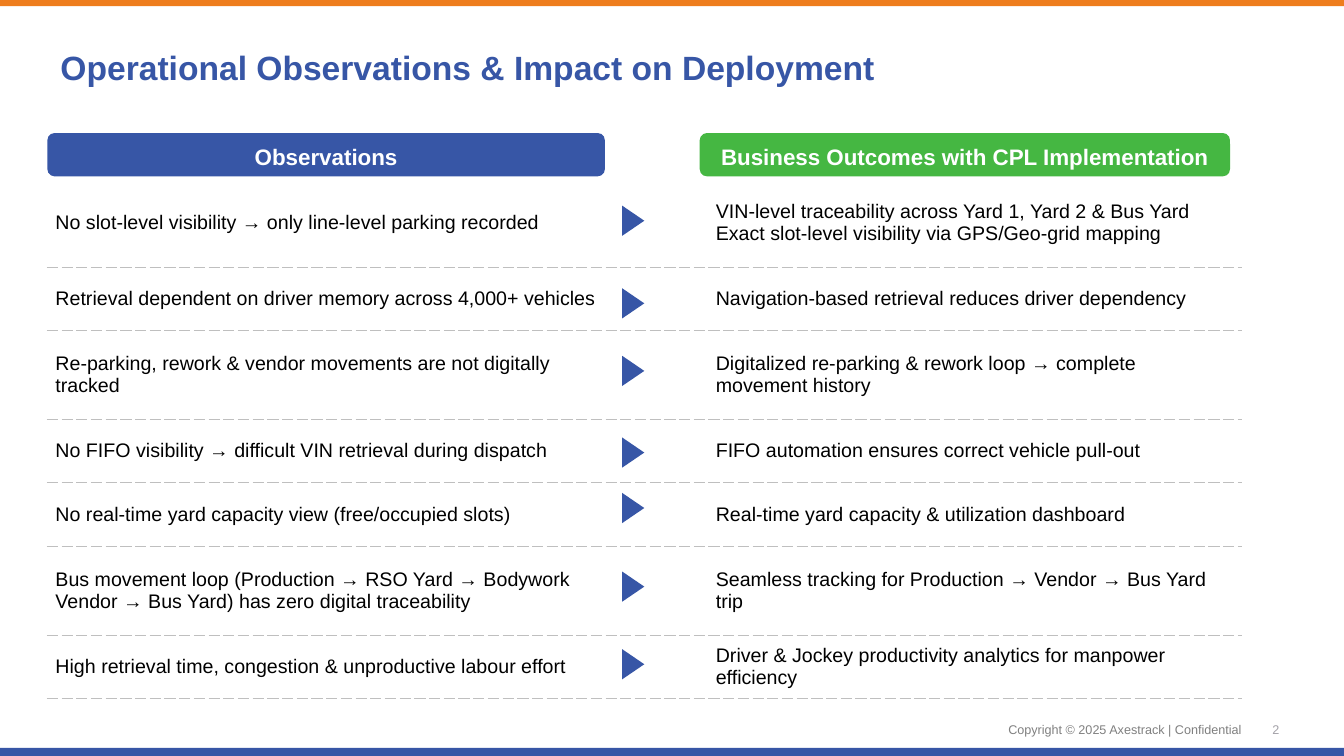
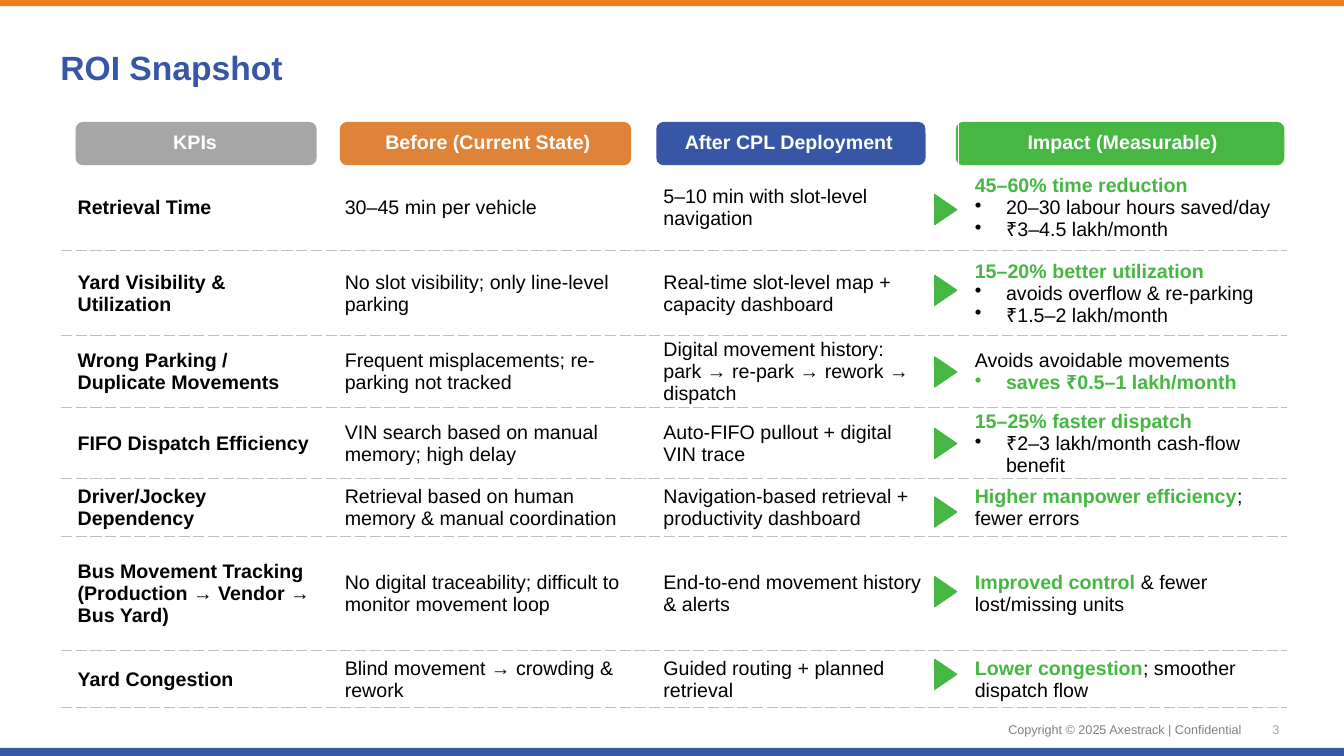
from lxml import etree
from pptx import Presentation
from pptx import util as u
from pptx.dml.color import RGBColor
from pptx.enum import shapes, text
from pptx.oxml.ns import qn

BLUE = RGBColor(0x37, 0x56, 0xA6)
GREEN = RGBColor(0x45, 0xB7, 0x42)
ORANGE = RGBColor(0xEE, 0x7D, 0x1D)
AMBER = RGBColor(0xDF, 0x83, 0x39)
SILVER = RGBColor(0xA6, 0xA6, 0xA6)
FOOTER_GREY = RGBColor(0x80, 0x80, 0x80)
NUMBER_GREY = RGBColor(0xA3, 0xA1, 0xA8)
RULE_GREY = RGBColor(0xBF, 0xBF, 0xBF)
WHITE = RGBColor(0xFF, 0xFF, 0xFF)
BLACK = RGBColor(0, 0, 0)

WIDTH, HEIGHT = 13.33, 7.5
BAR_HEIGHT = 0.43
ARROW = (0.3, 0.22)
BULLET_INDENT = u.Inches(0.31)
CENTER, LEFT = text.PP_ALIGN.CENTER, text.PP_ALIGN.LEFT
TOP, MIDDLE, BOTTOM = text.MSO_ANCHOR.TOP, text.MSO_ANCHOR.MIDDLE, text.MSO_ANCHOR.BOTTOM


def write(holder, content, size=14, colour=BLACK, bold=False, align=LEFT,
          anchor=MIDDLE, insets=(0, 0, 0, 0), line=None, after=None):
    """Fill a cell or text frame; *stars* mark green bold, a leading • a bullet."""
    holder.margin_left, holder.margin_top, holder.margin_right, holder.margin_bottom = map(u.Inches, insets)
    holder.vertical_anchor = anchor
    frame = getattr(holder, "text_frame", holder)
    for i, wording in enumerate(content.split("\n")):
        para = frame.add_paragraph() if i else frame.paragraphs[0]
        para.alignment, para.line_spacing, para.space_after = align, line, after
        if wording.startswith("• "):
            wording = wording[2:]
            props = para._p.get_or_add_pPr()
            props.set("marL", str(BULLET_INDENT))
            props.set("indent", str(-BULLET_INDENT))
            etree.SubElement(props, qn("a:buChar"), char="•")
        for j, piece in enumerate(wording.split("*")):
            if piece:
                run = para.add_run()
                run.text = piece
                run.font.name, run.font.size = "Arial", u.Pt(size)
                run.font.bold = bold or j % 2 == 1
                run.font.color.rgb = GREEN if j % 2 else colour


def block(slide, kind, box, colour):
    """Draw a flat preset shape without outline."""
    shape = slide.shapes.add_shape(kind, *map(u.Inches, box))
    shape.shadow.inherit = False
    shape.fill.solid()
    shape.fill.fore_color.rgb = colour
    shape.line.fill.background()
    return shape


# Content of the slides
observations = [
    ("No slot-level visibility → only line-level parking recorded",
     "VIN-level traceability across Yard 1, Yard 2 & Bus Yard\n"
     "Exact slot-level visibility via GPS/Geo-grid mapping"),
    ("Retrieval dependent on driver memory across 4,000+ vehicles",
     "Navigation-based retrieval reduces driver dependency"),
    ("Re-parking, rework & vendor movements are not digitally tracked",
     "Digitalized re-parking & rework loop → complete movement history"),
    ("No FIFO visibility → difficult VIN retrieval during dispatch",
     "FIFO automation ensures correct vehicle pull-out"),
    ("No real-time yard capacity view (free/occupied slots)",
     "Real-time yard capacity & utilization dashboard"),
    ("Bus movement loop (Production → RSO Yard → Bodywork Vendor → Bus Yard) has zero digital traceability",
     "Seamless tracking for Production → Vendor → Bus Yard trip"),
    ("High retrieval time, congestion & unproductive labour effort",
     "Driver & Jockey productivity analytics for manpower efficiency"),
]
kpis = [
    ("KPIs", "Before (Current State)", "After CPL Deployment", "", "Impact (Measurable)"),
    ("Retrieval Time", "30–45 min per vehicle", "5–10 min with slot-level navigation", "",
     "*45–60% time reduction*\n• 20–30 labour hours saved/day\n• ₹3–4.5 lakh/month"),
    ("Yard Visibility & Utilization", "No slot visibility; only line-level parking",
     "Real-time slot-level map + capacity dashboard", "",
     "*15–20% better utilization*\n• avoids overflow & re-parking\n• ₹1.5–2 lakh/month"),
    ("Wrong Parking / Duplicate Movements", "Frequent misplacements; re-parking not tracked",
     "Digital movement history: park → re-park → rework → dispatch", "",
     "Avoids avoidable movements\n• *saves ₹0.5–1 lakh/month*"),
    ("FIFO Dispatch Efficiency", "VIN search based on manual memory; high delay",
     "Auto-FIFO pullout + digital VIN trace", "",
     "*15–25% faster dispatch*\n• ₹2–3 lakh/month cash-flow benefit"),
    ("Driver/Jockey Dependency", "Retrieval based on human memory & manual coordination",
     "Navigation-based retrieval + productivity dashboard", "",
     "*Higher manpower efficiency*; fewer errors"),
    ("Bus Movement Tracking (Production → Vendor → Bus Yard)",
     "No digital traceability; difficult to monitor movement loop",
     "End-to-end movement history & alerts", "",
     "*Improved control *& fewer lost/missing units"),
    ("Yard Congestion", "Blind movement → crowding & rework",
     "Guided routing + planned retrieval", "",
     "*Lower congestion*; smoother dispatch flow"),
]

# Bars are (left, width, colour, label); cell insets are given per column
pages = [
    dict(title="Operational Observations & Impact on Deployment", number="2",
         bar_top=1.32,
         bars=[(0.47, 5.53, BLUE, "Observations"),
               (6.94, 5.26, GREEN, "Business Outcomes with CPL Implementation")],
         rows=observations, origin=(0.47, 1.77), columns=[5.92] * 2,
         heights=[0.88, 0.63, 0.88, 0.63, 0.63, 0.88, 0.63],
         insets=[(0.08, 0.05, 0.35, 0.05), (0.71, 0.05, 0.16, 0.05)],
         header_rows=0, bold_columns=0,
         arrow_left=6.13, arrow_colour=BLUE,
         arrow_tops=[2.08, 2.9, 3.57, 4.38, 4.93, 5.71, 6.48]),
    dict(title="ROI Snapshot", number="3",
         bar_top=1.21,
         bars=[(0.75, 2.39, SILVER, ""), (3.37, 2.89, AMBER, ""),
               (6.51, 2.67, BLUE, ""), (9.48, 3.26, GREEN, "")],
         rows=kpis, origin=(0.61, 1.2), columns=[2.65, 3.16, 2.81, 0.26, 3.25],
         heights=[BAR_HEIGHT, 0.85, 0.85, 0.67, 0.67, 0.57, 1.13, 0.57],
         insets=[(0.16, 0.01, 0.08, 0)] * 5,
         header_rows=1, bold_columns=1,
         arrow_left=9.23, arrow_colour=GREEN,
         arrow_tops=[1.97, 2.77, 3.58, 4.29, 4.97, 5.76, 6.58]),
]

prs = Presentation()
prs.slide_width, prs.slide_height = u.Inches(WIDTH), u.Inches(HEIGHT)

for page in pages:
    slide = prs.slides.add_slide(prs.slide_layouts[6])

    # Bands at both edges
    for band_top, colour in ((-0.03, ORANGE), (HEIGHT - 0.08, BLUE)):
        block(slide, shapes.MSO_SHAPE.RECTANGLE, (0, band_top, WIDTH, 0.09), colour)

    # Title, copyright line and page number
    for box, wording, wrap, style in (
        ((0.6, 0.47, 12.13, 0.4), page["title"], True,
         dict(size=24, colour=BLUE, bold=True, anchor=TOP)),
        ((10, 7.16, 2.38, 0.15), "Copyright © 2025 Axestrack | Confidential", False,
         dict(size=9, colour=FOOTER_GREY, anchor=BOTTOM)),
        ((12.58, 7.16, 0.15, 0.15), page["number"], False,
         dict(size=9, colour=NUMBER_GREY, anchor=BOTTOM, align=CENTER)),
    ):
        frame = slide.shapes.add_textbox(*map(u.Inches, box)).text_frame
        frame.word_wrap = wrap
        write(frame, wording, **style)

    # Column header bars
    for left, width, colour, label in page["bars"]:
        bar = block(slide, shapes.MSO_SHAPE.ROUNDED_RECTANGLE,
                    (left, page["bar_top"], width, BAR_HEIGHT), colour)
        if label:
            write(bar.text_frame, label, size=16, colour=WHITE, bold=True, align=CENTER,
                  insets=(0.1, 0.05, 0.1, 0.05), line=1.15, after=u.Pt(10))

    # Table with dashed rules between its rows
    columns, heights = page["columns"], page["heights"]
    table = slide.shapes.add_table(
        len(heights), len(columns), *map(u.Inches, page["origin"]),
        u.Inches(sum(columns)), u.Inches(sum(heights))).table
    table.first_row = table.horz_banding = False
    for column, width in zip(table.columns, columns):
        column.width = u.Inches(width)
    for r, (row, height) in enumerate(zip(page["rows"], heights)):
        table.rows[r].height = u.Inches(height)
        is_header = r < page["header_rows"]
        for c, wording in enumerate(row):
            cell = table.cell(r, c)
            if is_header:
                write(cell, wording, colour=WHITE, bold=True, align=CENTER,
                      insets=(0.01, 0.01, 0.01, 0))
            else:
                write(cell, wording, bold=c < page["bold_columns"], insets=page["insets"][c])
            props = cell._tc.get_or_add_tcPr()
            top_rule = RULE_GREY if r > page["header_rows"] else None
            bottom_rule = None if is_header else RULE_GREY
            for side, colour, points in (("L", WHITE, 1), ("R", WHITE, 1),
                                         ("T", top_rule, 0.75), ("B", bottom_rule, 0.75)):
                edge = etree.SubElement(props, qn(f"a:ln{side}"), w=str(u.Pt(points)))
                if colour is None:
                    etree.SubElement(edge, qn("a:noFill"))
                    continue
                paint = etree.SubElement(edge, qn("a:solidFill"))
                etree.SubElement(paint, qn("a:srgbClr"), val=str(colour))
                if colour == RULE_GREY:
                    etree.SubElement(edge, qn("a:prstDash"), val="sysDash")
            cell.fill.background()

    # Arrows leading to the outcome of each row
    for arrow_top in page["arrow_tops"]:
        arrow = block(slide, shapes.MSO_SHAPE.ISOSCELES_TRIANGLE,
                      (page["arrow_left"], arrow_top, *ARROW), page["arrow_colour"])
        arrow.rotation = 90
        if page["arrow_colour"] == GREEN:
            arrow.line.color.rgb = GREEN
            arrow.line.width = u.Pt(0.75)

prs.save("out.pptx")
